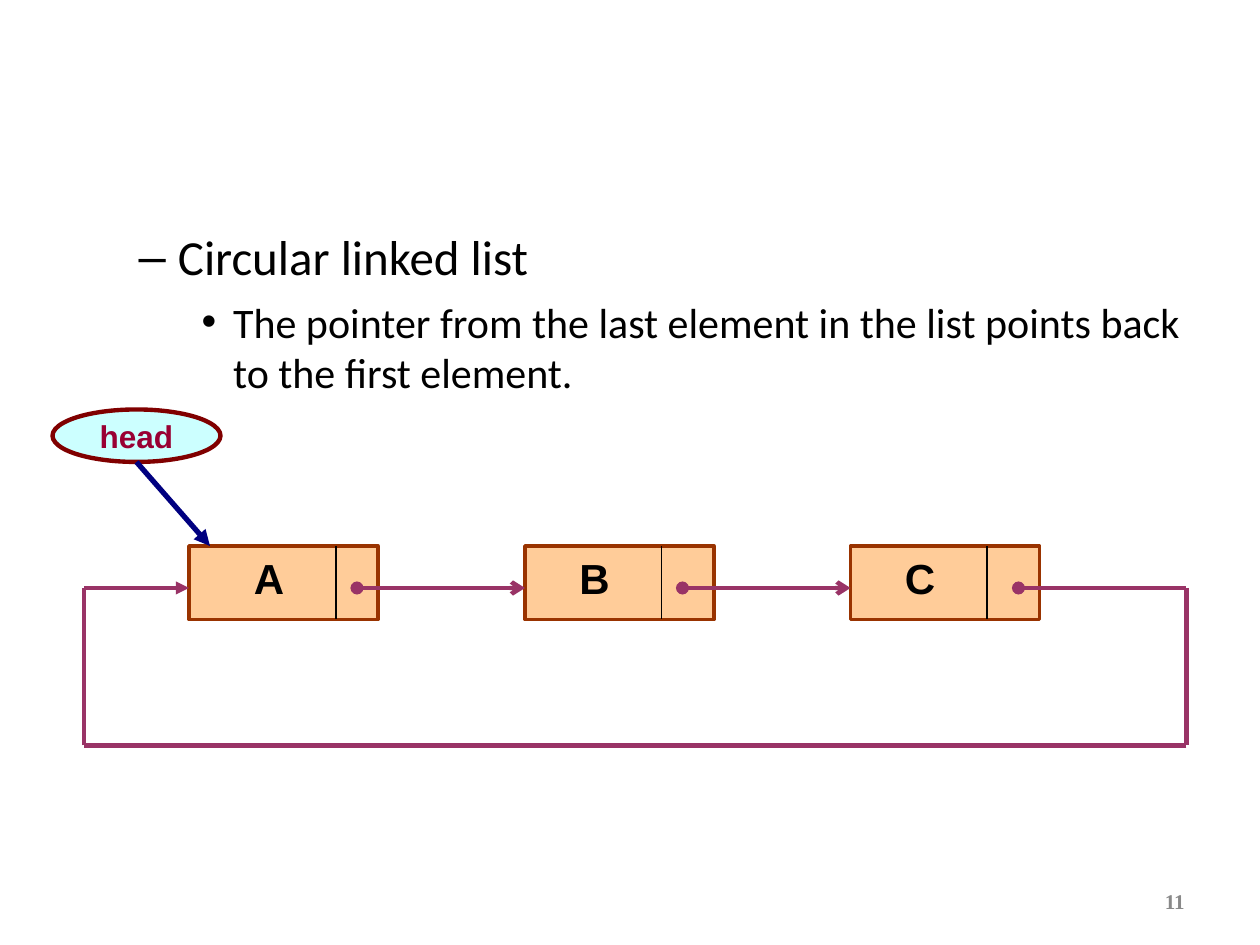
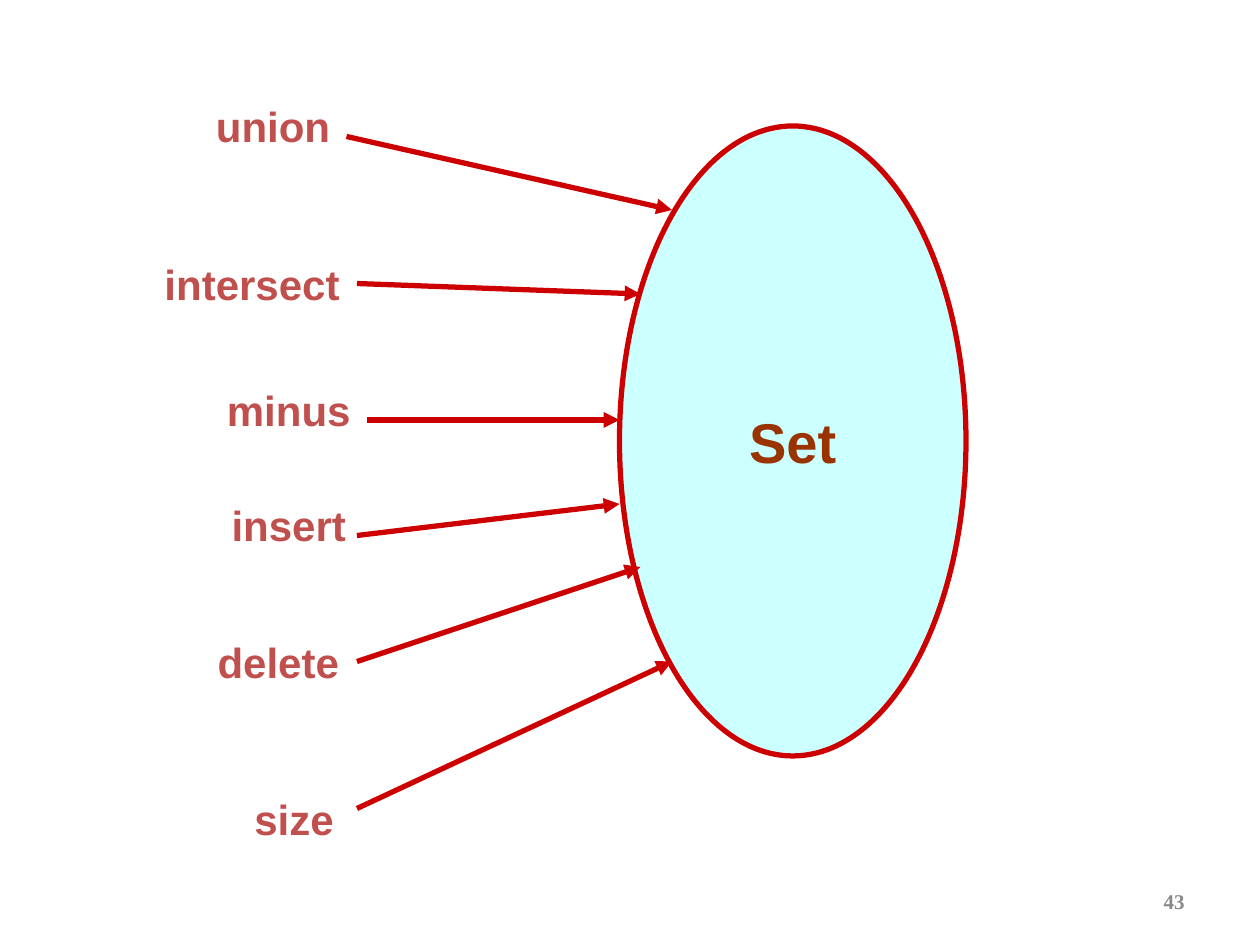
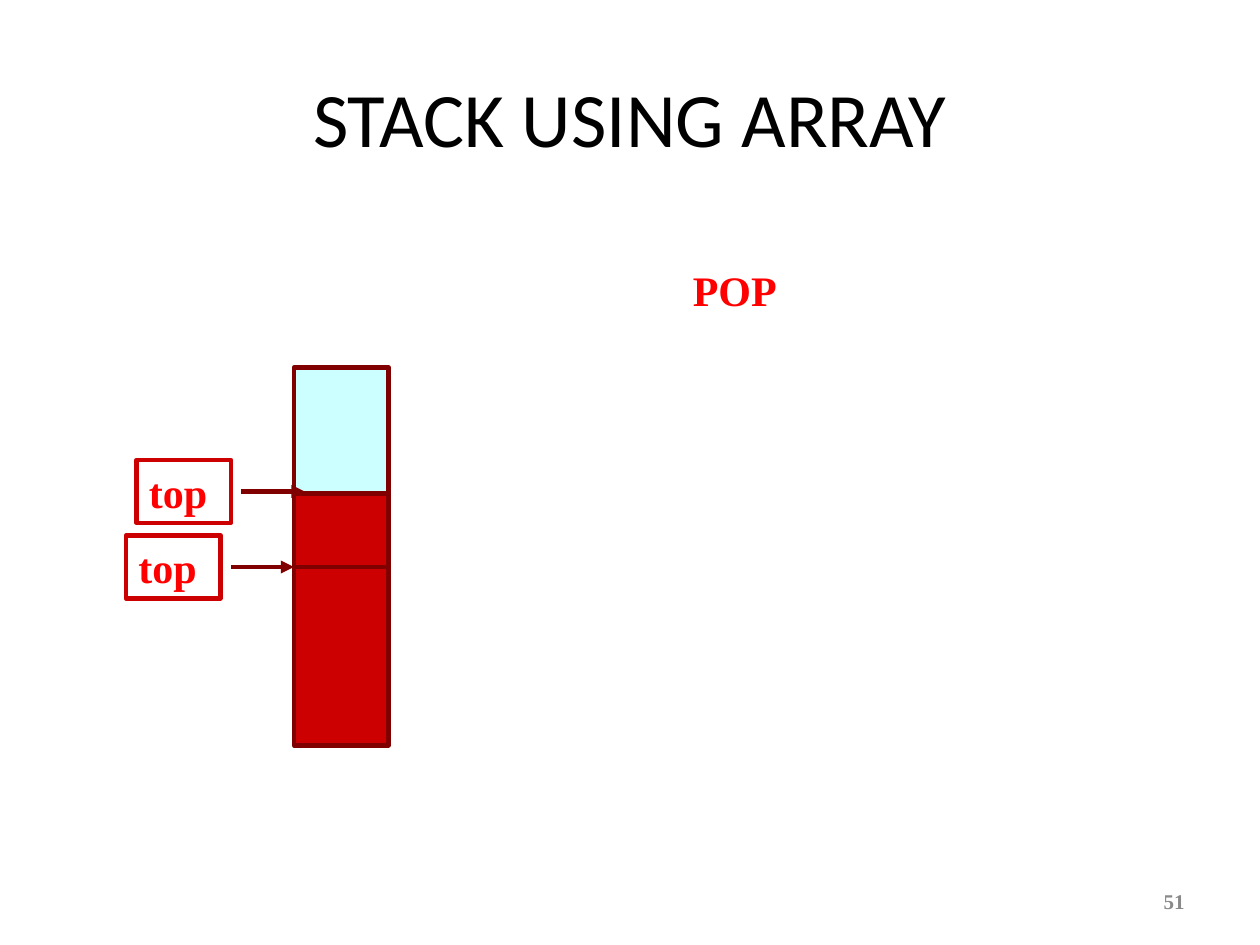
"""Build three slides on linked lists, sets and stacks."""
from dataclasses import dataclass
from typing import Optional

from pptx import Presentation
from pptx import util as u
from pptx.dml.color import RGBColor
from pptx.enum import shapes, text
from pptx.oxml import ns, xmlchemy

PX = 7620
BLACK, GREY, RED, CRIMSON = "000000", "898989", "FF0000", "CC0000"
CYAN, MAROON, BROWN, PLUM = "CCFFFF", "800000", "993300", "993366"
PEACH, NAVY, WINE, BRICK = "FFCC99", "000080", "990033", "C0504D"
SANS, SERIF, HEADING = "Arial", "Times New Roman", "Calibri"
LEFT, CENTER, RIGHT = text.PP_ALIGN.LEFT, text.PP_ALIGN.CENTER, text.PP_ALIGN.RIGHT
TOP, MIDDLE = text.MSO_ANCHOR.TOP, text.MSO_ANCHOR.MIDDLE
RECTANGLE, OVAL = shapes.MSO_SHAPE.RECTANGLE, shapes.MSO_SHAPE.OVAL

Point = tuple[int, int]
Bounds = tuple[int, int, int, int]


@dataclass(frozen=True)
class Node:
    letter: str
    left: int
    pointer_start: int
    pointer_end: int
    arrow: Optional[str] = "arrow"


@dataclass(frozen=True)
class Operation:
    name: str
    bounds: Bounds
    start: Point
    end: Point


@dataclass(frozen=True)
class TopMarker:
    left: int
    top: int


NODES = [
    Node("A", 180, 340, 500),
    Node("B", 500, 650, 810),
    Node("C", 810, 970, 1130, None),
]
OPERATIONS = [
    Operation("union", (180, 90, 160, 60), (330, 130), (640, 200)),
    Operation("intersect", (130, 240, 220, 60), (340, 270), (610, 280)),
    Operation("minus", (190, 360, 170, 60), (350, 400), (590, 400)),
    Operation("insert", (200, 470, 150, 60), (340, 510), (590, 480)),
    Operation("delete", (190, 600, 150, 60), (340, 630), (610, 540)),
    Operation("size", (220, 750, 120, 60), (340, 770), (640, 630)),
]
TOP_MARKERS = [TopMarker(120, 510), TopMarker(130, 438)]


def px(length: int) -> u.Emu:
    return u.Emu(length * PX)


def color(value: str) -> RGBColor:
    return RGBColor.from_string(value)


def write(frame, words: str, *, size: int, font: str = SANS, ink: str = BLACK,
          bold: bool = True, align=LEFT, anchor=TOP, wrap: bool = True) -> None:
    frame.word_wrap = wrap
    frame.auto_size = text.MSO_AUTO_SIZE.NONE
    frame.vertical_anchor = anchor
    para = frame.paragraphs[0]
    para.alignment = align
    format_span(para, words, size, font, ink, bold)


def format_span(para, words: str, size: int, font: str, ink: str, bold: bool) -> None:
    span = para.add_run()
    span.text = words
    span.font.size = u.Pt(size)
    span.font.name = font
    span.font.bold = bold
    span.font.color.rgb = color(ink)


def place(shape, bounds: Bounds) -> None:
    shape.left, shape.top, shape.width, shape.height = map(px, bounds)


def add_label(page, words: str, bounds: Bounds, **style) -> None:
    box = page.shapes.add_textbox(*map(px, bounds))
    write(box.text_frame, words, **style)


def add_figure(page, kind, bounds: Bounds, fill: Optional[str], line: str, weight: float):
    shape = page.shapes.add_shape(kind, *map(px, bounds))
    shape.shadow.inherit = False
    if fill:
        shape.fill.solid()
        shape.fill.fore_color.rgb = color(fill)
    else:
        shape.fill.background()
    shape.line.color.rgb = color(line)
    shape.line.width = u.Pt(weight)
    return shape


def add_line(page, start: Point, end: Point, ink: str, weight: float,
             head: Optional[str] = None, tail: Optional[str] = None) -> None:
    line = page.shapes.add_connector(shapes.MSO_CONNECTOR.STRAIGHT, *map(px, start + end))
    line.line.color.rgb = color(ink)
    line.line.width = u.Pt(weight)
    properties = line.element.spPr
    outline = properties.find(ns.qn("a:ln"))
    for tag, kind in (("a:headEnd", head), ("a:tailEnd", tail)):
        if kind:
            tip = xmlchemy.OxmlElement(tag)
            tip.set("type", kind)
            outline.append(tip)
    properties.append(xmlchemy.OxmlElement("a:effectLst"))


def add_page(deck, layout: int, number: int):
    page = deck.slides.add_slide(deck.slide_layouts[layout])
    add_label(page, str(number), (860, 834, 280, 48), size=12, font=SERIF,
              ink=GREY, align=RIGHT, anchor=MIDDLE)
    return page


def build_circular_list(deck) -> None:
    page = add_page(deck, 1, 11)
    title = page.shapes.title.element
    title.getparent().remove(title)
    body = page.placeholders[1]
    place(body, (60, 210, 1080, 594))
    write(body.text_frame, "Circular linked list", size=28, font=HEADING, bold=False)
    first = body.text_frame.paragraphs[0]
    first.level = 1
    first.space_before = u.Pt(0)
    detail = body.text_frame.add_paragraph()
    detail.level = 2
    detail.space_before = u.Pt(6)
    format_span(detail, "The pointer from the last element in the list points back "
                "to the first element.", 24, HEADING, BLACK, False)

    pitch, top, height, pointer_y = 310, 520, 70, 560
    for node in NODES:
        add_figure(page, RECTANGLE, (node.left, top, 180, height), PEACH, BROWN, 2)
    for index, node in enumerate(NODES):
        add_line(page, (node.pointer_start, pointer_y), (node.pointer_end, pointer_y),
                 PLUM, 2.5, head="oval", tail=node.arrow)
        divider = 320 + index * pitch
        add_line(page, (divider, top), (divider, top + height), BLACK, 0.75)
        add_label(page, node.letter, (230 + index * pitch, top, 80, 60), size=24)

    loop = [(1130, pointer_y), (1130, 710), (80, 710), (80, pointer_y), (180, pointer_y)]
    for start, end in zip(loop, loop[1:]):
        add_line(page, start, end, PLUM, 2.5, tail="triangle" if end == loop[-1] else None)

    head = add_figure(page, OVAL, (50, 390, 160, 50), CYAN, MAROON, 2.5)
    write(head.text_frame, "head", size=18, ink=WINE, align=CENTER, anchor=MIDDLE, wrap=False)
    add_line(page, (130, 440), (200, top), NAVY, 3, tail="triangle")


def build_set(deck) -> None:
    page = add_page(deck, 6, 43)
    oval = add_figure(page, OVAL, (590, 120, 330, 600), CYAN, CRIMSON, 3)
    write(oval.text_frame, "Set", size=32, ink=BROWN, align=CENTER, anchor=MIDDLE, wrap=False)
    for operation in OPERATIONS:
        add_line(page, operation.start, operation.end, CRIMSON, 3, tail="triangle")
        add_label(page, operation.name, operation.bounds, size=24, ink=BRICK, align=CENTER)


def build_stack(deck) -> None:
    page = add_page(deck, 5, 51)
    title = page.shapes.title
    place(title, (60, 36, 1080, 150))
    write(title.text_frame, "STACK USING ARRAY", size=44, font=HEADING, bold=False,
          align=CENTER, anchor=MIDDLE)

    left, width = 280, 90
    add_figure(page, RECTANGLE, (left, 540, width, 170), CRIMSON, MAROON, 2.5)
    add_figure(page, RECTANGLE, (left, 350, width, 190), CYAN, MAROON, 2.5)
    for marker in TOP_MARKERS:
        box = add_figure(page, RECTANGLE, (marker.left, marker.top, 90, 60), None, CRIMSON, 2.5)
        write(box.text_frame, "top", size=24, font=SERIF, ink=RED)
        arrow_y = marker.top + 30
        add_line(page, (marker.left + 100, arrow_y), (marker.left + 160, arrow_y),
                 MAROON, 2.5, tail="triangle")
    add_figure(page, RECTANGLE, (left, 470, width, 70), CRIMSON, MAROON, 2.5)
    add_label(page, "POP", (648, 246, 103, 60), size=24, font=SERIF, ink=RED, wrap=False)


def main() -> None:
    deck = Presentation()
    deck.slide_width, deck.slide_height = px(1200), px(900)
    build_circular_list(deck)
    build_set(deck)
    build_stack(deck)
    deck.save("out.pptx")


if __name__ == "__main__":
    main()
